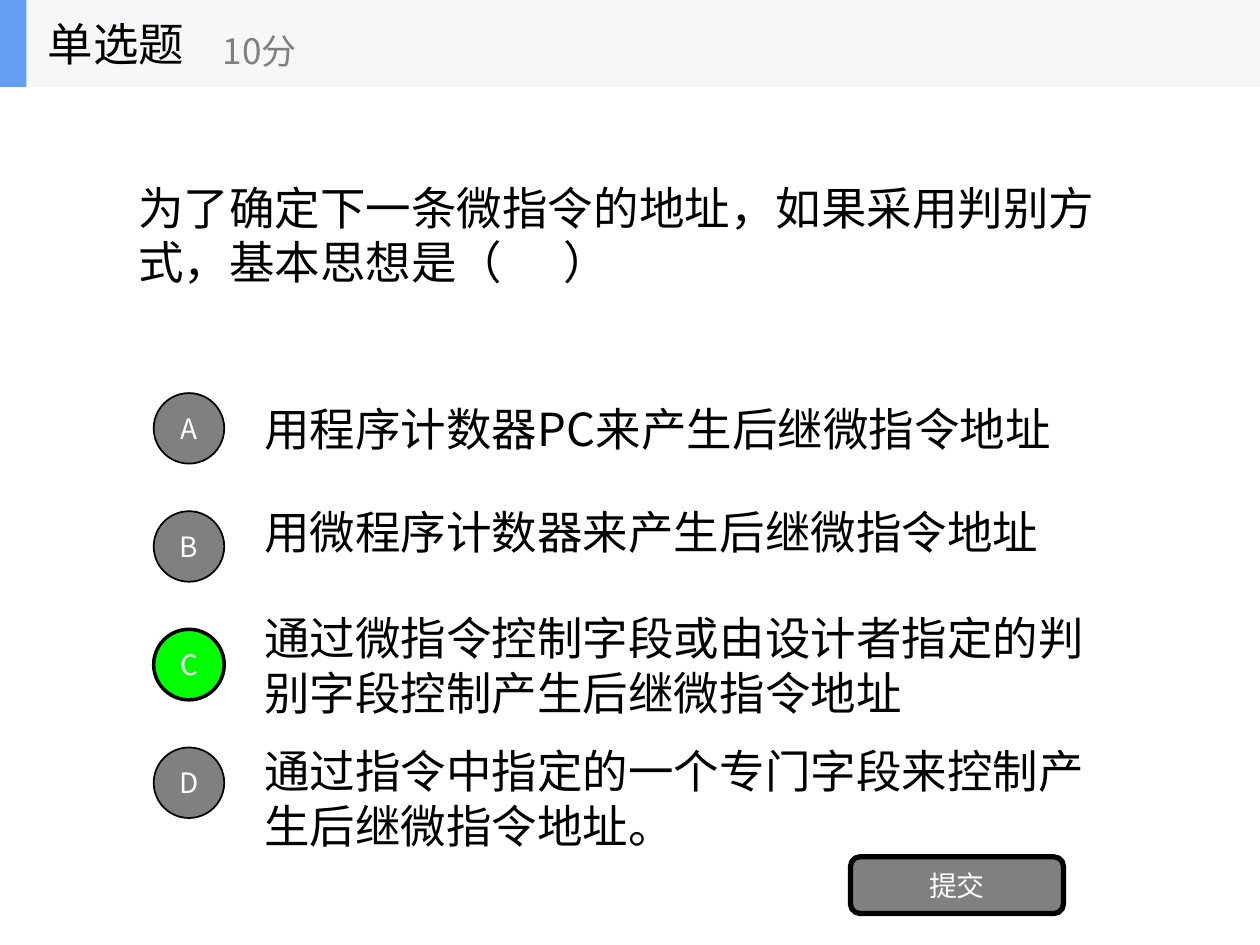
from lxml import etree
from pptx import Presentation
from pptx.dml.color import RGBColor
from pptx.enum.shapes import MSO_SHAPE
from pptx.enum.text import MSO_ANCHOR, PP_ALIGN
from pptx.oxml.ns import qn
from pptx.util import Inches, Pt

RECTANGLE, ROUNDED, OVAL = MSO_SHAPE.RECTANGLE, MSO_SHAPE.ROUNDED_RECTANGLE, MSO_SHAPE.OVAL
MIDDLE = MSO_ANCHOR.MIDDLE
LEFT, CENTER = PP_ALIGN.LEFT, PP_ALIGN.CENTER

FONT = "Noto Sans CJK SC"
BLACK = RGBColor(0x00, 0x00, 0x00)
WHITE = RGBColor(0xFF, 0xFF, 0xFF)
GRAY = RGBColor(0x80, 0x80, 0x80)
GREEN = RGBColor(0x00, 0xFF, 0x00)
BLUE = RGBColor(0x63, 0x9E, 0xF4)
PALE = RGBColor(0xF6, 0xF7, 0xF8)

WIDTH, HEIGHT = 10, 7.5
COLUMN = WIDTH / 10
HEADER_HEIGHT = 0.69
BODY_SIZE, SCORE_SIZE, LABEL_SIZE = 26, 20, 16

TITLE = "单选题"
SCORE = "10分"
QUESTION = "为了确定下一条微指令的地址，如果采用判别方式，基本思想是（      ）"
OPTIONS = [
    ("A", "用程序计数器PC来产生后继微指令地址", 3.05, 0.7),
    ("B", "用微程序计数器来产生后继微指令地址", 3.75, 0.94),
    ("C", "通过微指令控制字段或由设计者指定的判别字段控制产生后继微指令地址", 4.62, 1.31),
    ("D", "通过指令中指定的一个专门字段来控制产生后继微指令地址。", 5.86, 0.94),
]
ANSWER = "C"
SUBMIT = "提交"
BADGE_LEFT, BADGE_TOP, BADGE_SIZE = 1.22, 3.12, 0.56
BADGE_PITCH = HEIGHT / 8


def write(shape, text, size, color, alignment):
    frame = shape.text_frame
    frame.vertical_anchor = MIDDLE
    paragraph = frame.paragraphs[0]
    paragraph.alignment = alignment
    run = paragraph.add_run()
    run.text = text
    run.font.name = FONT
    run.font.size = Pt(size)
    run.font.color.rgb = color
    east_asian = etree.SubElement(run.font._element, qn("a:ea"))
    east_asian.set("typeface", FONT)


def add_text(slide, box, text, size=BODY_SIZE, color=BLACK):
    shape = slide.shapes.add_textbox(*map(Inches, box))
    shape.text_frame.word_wrap = True
    write(shape, text, size, color, LEFT)


def add_block(slide, kind, box, fill, line_width=0, label=None):
    shape = slide.shapes.add_shape(kind, *map(Inches, box))
    shape.shadow.inherit = False
    shape.fill.solid()
    shape.fill.fore_color.rgb = fill
    if line_width:
        shape.line.color.rgb = BLACK
        shape.line.width = Pt(line_width)
    else:
        shape.line.fill.background()
    if label:
        shape.text_frame.word_wrap = False
        write(shape, label, LABEL_SIZE, WHITE, CENTER)


def main():
    presentation = Presentation()
    presentation.slide_width = Inches(WIDTH)
    presentation.slide_height = Inches(HEIGHT)
    slide = presentation.slides.add_slide(presentation.slide_layouts[6])

    add_text(slide, (COLUMN, HEADER_HEIGHT, 8 * COLUMN, 2.34), QUESTION)
    for letter, text, top, height in OPTIONS:
        add_text(slide, (2 * COLUMN, top, 7 * COLUMN, height), text)
    for row, (letter, *_) in enumerate(OPTIONS):
        fill, line_width = (GREEN, 2) if letter == ANSWER else (GRAY, 1)
        box = (BADGE_LEFT, BADGE_TOP + row * BADGE_PITCH, BADGE_SIZE, BADGE_SIZE)
        add_block(slide, OVAL, box, fill, line_width, letter)
    add_block(slide, ROUNDED, (6.75, 6.8, 1.69, 0.45), GRAY, 3, SUBMIT)

    add_block(slide, RECTANGLE, (0, 0, WIDTH, HEADER_HEIGHT), PALE)
    add_block(slide, RECTANGLE, (0, 0, 0.21, HEADER_HEIGHT), BLUE)
    add_text(slide, (0.28, 0, 2.08, HEADER_HEIGHT), TITLE)
    add_text(slide, (1.67, 0.12, 2.5, 0.56), SCORE, SCORE_SIZE, GRAY)

    presentation.save("out.pptx")


if __name__ == "__main__":
    main()
